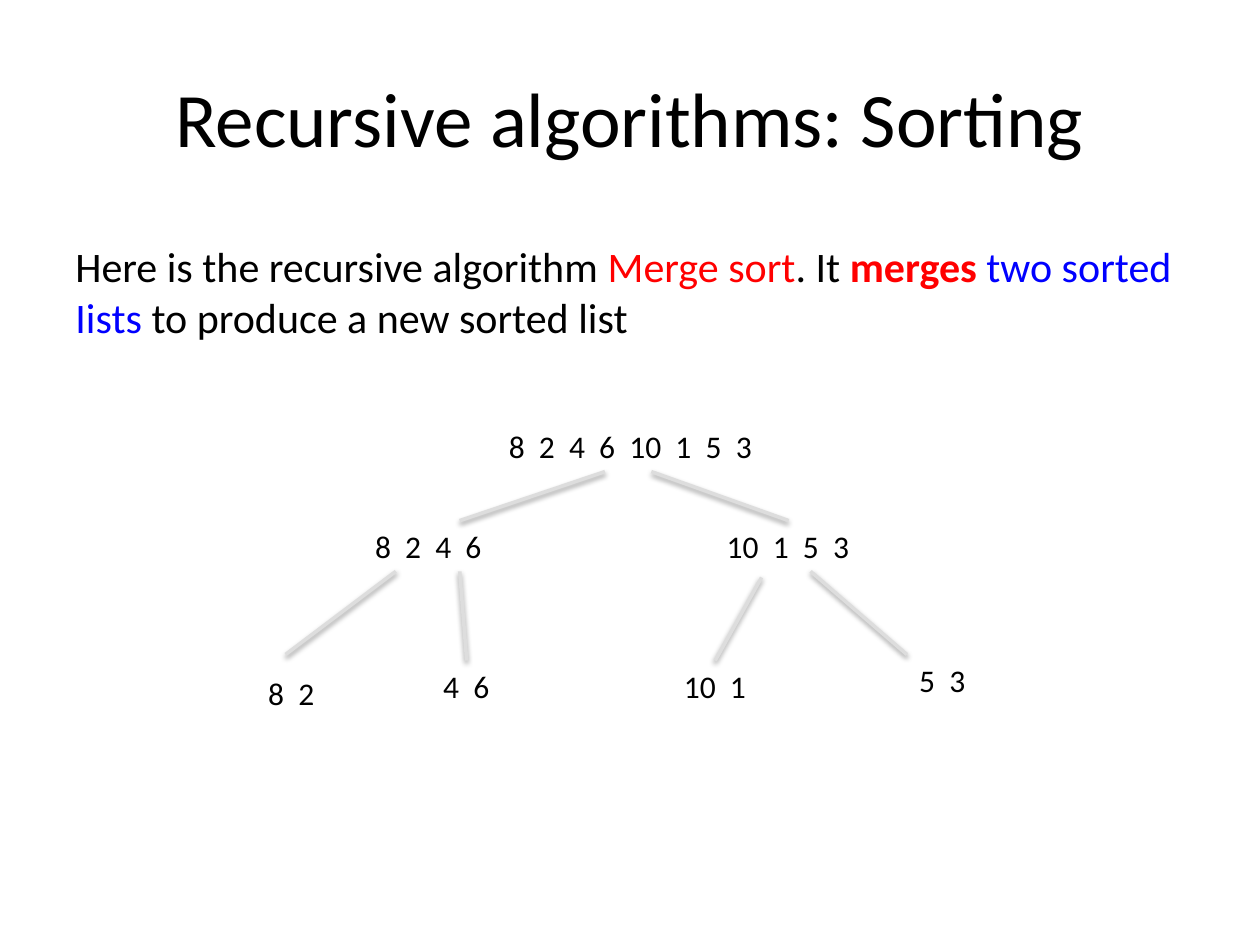
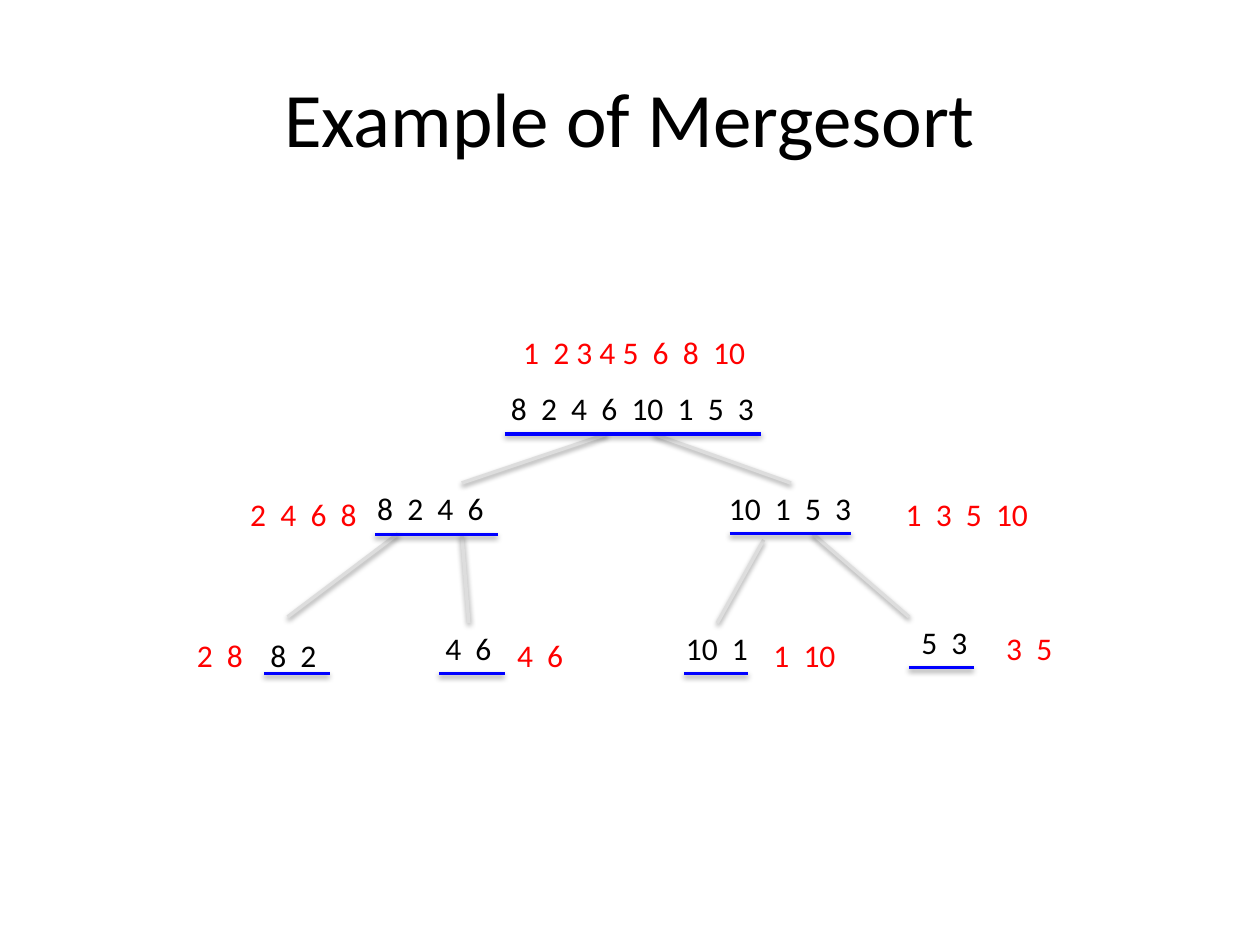
import dataclasses
import lxml.etree
import pptx
import pptx.dml.color
import pptx.enum.shapes
import pptx.enum.text
import pptx.oxml.ns
import pptx.util

Pt = pptx.util.Pt
RGB = pptx.dml.color.RGBColor
qn = pptx.oxml.ns.qn


@dataclasses.dataclass(frozen=True)
class Theme:
    font: str = "Calibri"
    black: RGB = RGB(0, 0, 0)
    red: RGB = RGB(255, 0, 0)
    blue: RGB = RGB(0, 0, 255)
    grey: RGB = RGB(0xDD, 0xDD, 0xDD)
    title: int = 44
    body: int = 24
    list: int = 18
    line: int = 2


THEME = Theme()
HIGH = 29  # height of a list box

# Each list: text, left, top, width in the tree box
LISTS = {
    "root": ("8  2  4  6  10  1  5  3", 137.5, 0, 155),
    "left": ("8  2  4  6", 61, 57, 76),
    "right": ("10  1  5  3", 262, 57, 85),
    "leaf1": ("8  2", 0, 141, 41),
    "leaf2": ("4  6", 100, 137, 41),
    "leaf3": ("10  1", 237.5, 137, 50),
    "leaf4": ("5  3", 372, 133.5, 41),
}
# Each branch: start, end, and the list it joins at the middle of the top
BRANCHES = [
    ((199.5, 29), (116.5, 57), None),
    ((226, 29), (304.5, 57), "right"),
    ((80, 86), (17, 133.5), None),
    ((289, 89.5), (262.5, 137), "leaf3"),
    ((317, 86), (372, 133.5), None),
    ((116.5, 86), (120.5, 137), "leaf2"),
]
# Each sorted list: text, left, top, width
SORTED = [
    ("1  2 3 4 5  6  8  10", 144.5, -32.5, 143),
    ("2  4  6  8", -11.5, 60.5, 78.5),
    ("1  3  5  10", 363, 60.5, 85),
    ("2  8", -42, 141, 41),
    ("4  6", 141, 141, 41),
    ("1  10", 287.5, 141, 50),
    ("3  5", 420.5, 137, 41),
]
# Each underline: left, right, top
RULES = [
    (141, 287.5, 29),
    (67, 137, 86.5),
    (269.5, 339, 86),
    (3.5, 41, 166),
    (103.5, 141, 166),
    (243.5, 280, 166),
    (372, 409, 162.5),
]


def style(font, size, color=None):
    font.name = THEME.font
    font.size = Pt(size)
    if color is not None:
        font.color.rgb = color


def add_box(slide, left, top, width, height):
    box = slide.shapes.add_textbox(Pt(left), Pt(top), Pt(width), Pt(height))
    box.text_frame.word_wrap = False
    return box


def add_list(slide, spot, item, color):
    text, left, top, width = item
    box = add_box(slide, spot[0] + left, spot[1] + top, width, HIGH)
    para = box.text_frame.paragraphs[0]
    para.text = text
    style(para.font, THEME.list, color)
    return box


def add_line(slide, spot, start, end, color):
    line = slide.shapes.add_connector(
        pptx.enum.shapes.MSO_CONNECTOR.STRAIGHT,
        Pt(spot[0] + start[0]), Pt(spot[1] + start[1]),
        Pt(spot[0] + end[0]), Pt(spot[1] + end[1]))
    line.line.color.rgb = color
    line.line.width = Pt(THEME.line)
    # Soft shadow straight below
    sub = lxml.etree.SubElement
    effect = sub(line._element.spPr, qn("a:effectLst"))
    shade = sub(effect, qn("a:outerShdw"), blurRad="40000", dist="20000",
                dir="5400000", rotWithShape="0")
    black = sub(shade, qn("a:srgbClr"), val="000000")
    sub(black, qn("a:alpha"), val="38000")
    return line


def add_slide(deck, text):
    slide = deck.slides.add_slide(deck.slide_layouts[5])
    title = slide.shapes.title
    title.left, title.top, title.width, title.height = map(
        Pt, (36, 21.6, 648, 90))
    title.text_frame.vertical_anchor = pptx.enum.text.MSO_ANCHOR.MIDDLE
    para = title.text_frame.paragraphs[0]
    para.text = text
    para.alignment = pptx.enum.text.PP_ALIGN.CENTER
    style(para.font, THEME.title, THEME.black)
    return slide


def add_intro(slide, left, top, width, height):
    black, red, blue = THEME.black, THEME.red, THEME.blue
    rows = [
        [("Here is the recursive algorithm ", black, False),
         ("Merge sort", red, False), (". It ", black, False),
         ("merges ", red, True), ("two sorted", blue, False)],
        [("Iists ", blue, False),
         ("to produce a new sorted list", black, False)],
    ]
    frame = add_box(slide, left, top, width, height).text_frame
    for num, row in enumerate(rows):
        para = frame.add_paragraph() if num else frame.paragraphs[0]
        style(para.font, THEME.body)
        for text, color, bold in row:
            run = para.add_run()
            run.text = text
            run.font.color.rgb = color
            run.font.bold = bold


def add_tree(slide, left, top):
    spot = (left, top)
    boxes = {name: add_list(slide, spot, item, THEME.black)
             for name, item in LISTS.items()}
    for start, end, child in BRANCHES:
        line = add_line(slide, spot, start, end, THEME.grey)
        if child:
            line.end_connect(boxes[child], 0)


def add_merge(slide, left, top):
    spot = (left, top)
    for start, end, level in RULES:
        add_line(slide, spot, (start, level), (end, level), THEME.blue)
    for item in SORTED:
        add_list(slide, spot, item, THEME.red)


def main():
    deck = pptx.Presentation()
    deck.slide_width, deck.slide_height = Pt(720), Pt(540)

    # Splitting the list
    slide = add_slide(deck, "Recursive algorithms: Sorting")
    add_intro(slide, 36, 134, 646, 65.5)
    add_tree(slide, 146.2, 240.5)

    # Merging the sorted lists
    slide = add_slide(deck, "Example of Mergesort")
    add_tree(slide, 147.4, 219)
    add_merge(slide, 147.4, 219)

    deck.save("out.pptx")


if __name__ == "__main__":
    main()
